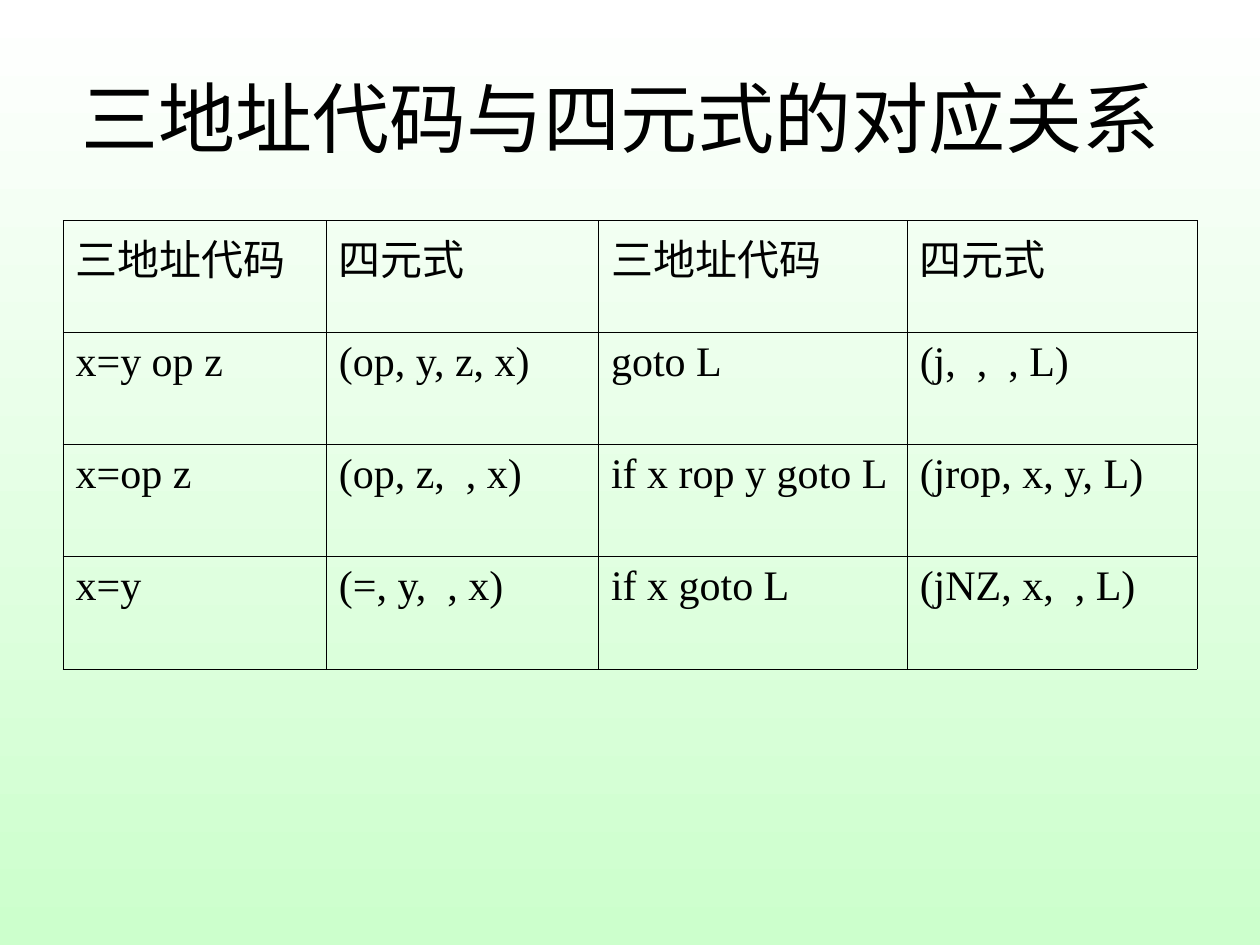
from lxml import etree
from pptx import Presentation
from pptx.dml.color import RGBColor
from pptx.enum.text import MSO_ANCHOR, PP_ALIGN
from pptx.oxml.ns import qn
from pptx.util import Inches, Pt

CENTER = PP_ALIGN.CENTER
MIDDLE = MSO_ANCHOR.MIDDLE
TITLE_ONLY = 5

THEME = {
    "ink": "000000", "bg_top": "FFFFFF", "bg_bottom": "CCFFCC",
    "title_font": "Arial", "title_size": 44,
    "body_font": "Times New Roman", "body_size": 24,
    "header_line": 0.34, "line": 0.45, "divider": 0.96,
}
MARGIN = 0.5
COL_WIDTHS = [2.09, 2.16, 2.45, 2.3]
ROW_HEIGHT = 0.89
ROWS = [
    ["三地址代码", "四元式", "三地址代码", "四元式"],
    ["x=y op z", "(op, y, z, x)", "goto L", "(j,  ,  , L)"],
    ["x=op z", "(op, z,  , x)", "if x rop y goto L", "(jrop, x, y, L)"],
    ["x=y", "(=, y,  , x)", "if x goto L", "(jNZ, x,  , L)"],
]


def add_run(p, text, kind):
    r = p.add_run()
    r.text = text
    r.font.name = THEME[kind + "_font"]
    r.font.size = Pt(THEME[kind + "_size"])
    r.font.bold = False
    r.font.color.rgb = RGBColor.from_string(THEME["ink"])


def set_borders(cell, widths):
    tc_pr = cell._tc.get_or_add_tcPr()
    for i, (side, width) in enumerate(widths.items()):
        ln = etree.Element(qn("a:ln" + side), w=str(Pt(width)))
        fill = etree.SubElement(ln, qn("a:solidFill"))
        etree.SubElement(fill, qn("a:srgbClr"), val=THEME["ink"])
        tc_pr.insert(i, ln)


prs = Presentation()
prs.slide_width, prs.slide_height = Inches(10), Inches(7.5)
s = prs.slides.add_slide(prs.slide_layouts[TITLE_ONLY])

# Background: vertical gradient
fill = s.background.fill
fill.gradient()
fill.gradient_angle = 270
for stop, name in zip(fill.gradient_stops, ("bg_top", "bg_bottom")):
    stop.color.rgb = RGBColor.from_string(THEME[name])

# Title
sp = s.shapes.title
sp.left, sp.top = Inches(MARGIN), Inches(0.3)
sp.width, sp.height = prs.slide_width - 2 * Inches(MARGIN), Inches(1.25)
tf = sp.text_frame
tf.word_wrap = True
tf.vertical_anchor = MIDDLE
p = tf.paragraphs[0]
p.alignment = CENTER
add_run(p, "三地址代码与四元式的对应关系 ", "title")

# Table of correspondences
table = s.shapes.add_table(
    len(ROWS), len(COL_WIDTHS), Inches(MARGIN), Inches(1.75),
    Inches(sum(COL_WIDTHS)), Inches(ROW_HEIGHT * len(ROWS))).table
table.first_row = table.horz_banding = False
for column, width in zip(table.columns, COL_WIDTHS):
    column.width = Inches(width)

for i, texts in enumerate(ROWS):
    table.rows[i].height = Inches(ROW_HEIGHT)
    base = THEME["line"] if i else THEME["header_line"]
    for j, text in enumerate(texts):
        cell = table.cell(i, j)
        cell.fill.background()
        # The middle divider of the body rows is heavier
        left = THEME["divider"] if i and j == 2 else base
        right = THEME["divider"] if i and j == 1 else base
        set_borders(cell, {"L": left, "R": right, "T": base, "B": THEME["line"]})
        p = cell.text_frame.paragraphs[0]
        p_pr = p._p.get_or_add_pPr()
        p_pr.set("marL", str(Inches(0.38)))
        p_pr.set("indent", str(-Inches(0.38)))
        add_run(p, text, "body")

prs.save("out.pptx")
